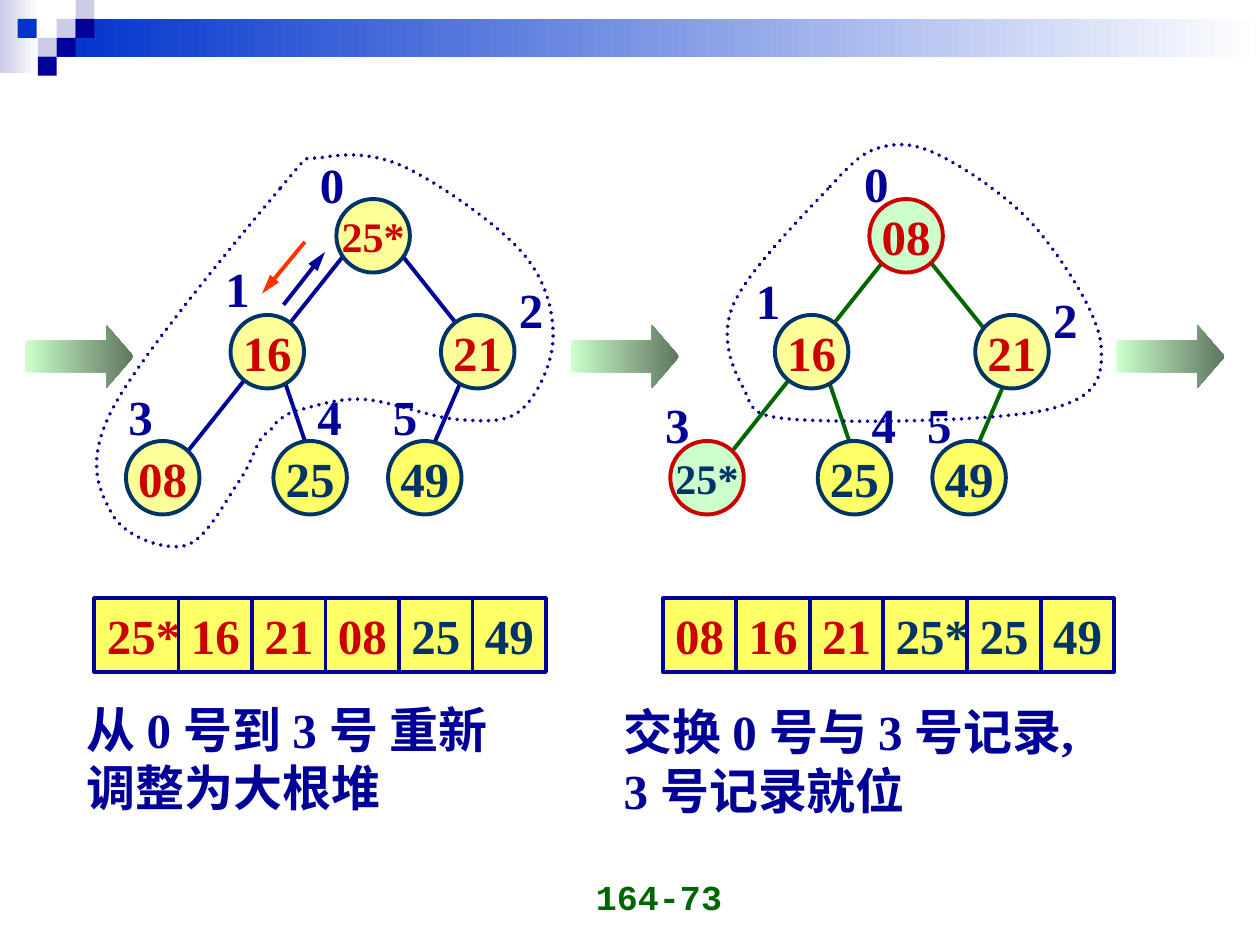
from lxml.etree import SubElement
from pptx import Presentation
from pptx.dml.color import RGBColor
from pptx.enum.dml import MSO_LINE
from pptx.enum.shapes import MSO_CONNECTOR, MSO_SHAPE
from pptx.enum.text import MSO_ANCHOR, PP_ALIGN
from pptx.oxml.ns import qn
from pptx.util import Inches, Pt

HEX = {"navy": "000099", "blue": "0033CC", "lilac": "CCCCE6", "white": "FFFFFF",
       "mint": "CCFFCC", "moss": "5E765E", "green": "006600", "red": "CC0000",
       "ink": "003366", "pale": "FFFF99", "yellow": "FFFF66", "orange": "FF3300"}
SERIF = "Times New Roman"
SIZE = 7 / 12   # node diameter, array height and cell width
WIDE = 8 / 12   # width of the starred cell
ROW = 4.75      # top of the arrays
BANDS = [(0, 0, 0.31, 0.58, "lilac"), (0.45, 0.15, 9.55, 0.3, "blue")]
TILES = [(0.45, 0.15, "lilac"), (0.6, 0, "lilac"), (0.6, 0.15, "navy"),
         (0.3, 0.3, "lilac"), (0.14, 0.15, "blue"), (0.45, 0.3, "navy"),
         (0.3, 0.45, "navy")]
ARROWS = [0.2, 4.53, 8.86]

# Node looks: fill, outline, text colour
HEAP = ("pale", "ink", "red")
DONE = ("yellow", "ink", "ink")
SWAP = ("mint", "red", "red")
SET = ("mint", "red", "ink")

TREES = [
    {"edge": "navy",
     "edges": [(3.67, 3, 3.42, 3.58), (2.25, 3, 2.42, 3.5),
               (3.17, 2, 3.83, 2.83), (2.75, 2, 1.42, 3.67)],
     "nodes": [("25*", 2.67, 1.58, HEAP), ("16", 1.83, 2.5, HEAP),
               ("21", 3.5, 2.5, HEAP), ("08", 1, 3.5, HEAP),
               ("25", 2.17, 3.5, DONE), ("49", 3.08, 3.5, DONE)],
     "labels": [(2.44, 1.18), (1.69, 2), (4.02, 2.17),
                (0.92, 3.02), (2.42, 3.02), (3.02, 3.02)],
     "moves": [(2.25, 2.42, 2.58, 2, "navy"), (2.42, 1.92, 2.08, 2.33, "orange")],
     "left": 0.75, "heap": 4,
     "cells": ["25*", "16", "21", "08", "25", "49"],
     "note": (0.59, 5.5, 4.07, ["从 0 号到 3 号 重新", "调整为大根堆"]),
     "knots": [(2.22, 1.5), (0.89, 3.25), (0.89, 4.08), (1.47, 4.33), (1.89, 3.83),
               (2.06, 3.5), (2.14, 3.42), (2.22, 3.33), (2.39, 3.25), (2.89, 3.17),
               (3.64, 3.33), (4.14, 3.25), (4.39, 2.67), (4.14, 2), (3.22, 1.33),
               (2.56, 1.25)]},
    {"edge": "green",
     "edges": [(7.99, 3, 7.74, 3.58), (7.32, 2, 7.99, 2.83),
               (6.57, 3, 6.74, 3.5), (7.07, 2, 5.74, 3.67)],
     "nodes": [("08", 6.9, 1.58, SWAP), ("16", 6.15, 2.5, HEAP),
               ("21", 7.74, 2.5, HEAP), ("25*", 5.32, 3.5, SET),
               ("25", 6.49, 3.5, DONE), ("49", 7.4, 3.5, DONE)],
     "labels": [(6.76, 1.17), (5.9, 2.1), (8.26, 2.25),
                (5.18, 3.08), (6.82, 3.08), (7.26, 3.08)],
     "moves": [],
     "left": 5.26, "heap": 3,
     "cells": ["08", "16", "21", "25*", "25", "49"],
     "note": (4.85, 5.52, 4.45, ["交换 0 号与 3 号记录,", "3 号记录就位"]),
     "knots": [(6.57, 1.5), (5.82, 2.42), (5.9, 3.08), (6.32, 3.33), (8.32, 3.25),
               (8.74, 2.75), (8.24, 1.83), (7.49, 1.25), (6.99, 1.17)]},
]

deck = Presentation()
deck.slide_width, deck.slide_height = Inches(10), Inches(7.5)
slide = deck.slides.add_slide(deck.slide_layouts[6])
shapes = slide.shapes


def rgb(name):
    return RGBColor.from_string(HEX[name])


def style(font, color, size=28, name=SERIF):
    font.name, font.size, font.bold = name, Pt(size), True
    font.color.rgb = rgb(color)


def block(kind, x, y, w, h, fill, line=None):
    """Add a preset shape; a pair of fill colours makes a gradient."""
    shape = shapes.add_shape(kind, *map(Inches, (x, y, w, h)))
    shape.shadow.inherit = False
    if isinstance(fill, tuple):
        shape.fill.gradient()
        shape.fill.gradient_angle = 0
        for stop, color in zip(shape.fill.gradient_stops, fill):
            stop.color.rgb = rgb(color)
    else:
        shape.fill.solid()
        shape.fill.fore_color.rgb = rgb(fill)
    if line:
        shape.line.color.rgb = rgb(line)
        shape.line.width = Pt(2.25)
    else:
        shape.line.fill.background()
    return shape


def stroke(x1, y1, x2, y2, color, head=False):
    line = shapes.add_connector(MSO_CONNECTOR.STRAIGHT, *map(Inches, (x1, y1, x2, y2)))
    line.line.color.rgb = rgb(color)
    line.line.width = Pt(2.25)
    if head:
        SubElement(line._element.spPr.find(qn("a:ln")), qn("a:tailEnd"),
                   type="triangle", w="med", len="lg")
    SubElement(line._element.spPr, qn("a:effectLst"))


def write(x, y, w, h, lines, color="navy", **look):
    frame = shapes.add_textbox(*map(Inches, (x, y, w, h))).text_frame
    frame.word_wrap = False
    frame.text = "\n".join(lines)
    for para in frame.paragraphs:
        style(para.font, color, **look)
    return frame


def node(text, x, y, look):
    fill, line, color = look
    frame = block(MSO_SHAPE.OVAL, x, y, SIZE, SIZE, fill, line).text_frame
    frame.word_wrap = False
    frame.text = text
    para = frame.paragraphs[0]
    para.alignment = PP_ALIGN.CENTER
    style(para.font, color, 24 if "*" in text else 28)


def array(left, cells, heap):
    """Draw the array as one box with dividers; a tab stop starts each cell."""
    widths = [WIDE if "*" in text else SIZE for text in cells]
    starts = [sum(widths[:i]) for i in range(1, len(cells))]
    box = block(MSO_SHAPE.RECTANGLE, left, ROW, sum(widths), SIZE, "yellow", "navy")
    box.text_frame.margin_right = 0
    para = box.text_frame.paragraphs[0]
    para.alignment = PP_ALIGN.LEFT
    tabs = SubElement(para._p.get_or_add_pPr(), qn("a:tabLst"))
    for x in starts:
        SubElement(tabs, qn("a:tab"), pos=str(Inches(x)), algn="l")
        stroke(left + x, ROW, left + x, ROW + SIZE, "navy")
    for text, color in (("\t".join(cells[:heap]) + "\t", "red"),
                        ("\t".join(cells[heap:]), "ink")):
        run = para.add_run()
        run.text = text
        style(run.font, color)


def loop(knots):
    """Draw a dotted closed Catmull-Rom curve through the knots."""
    count, points = len(knots), []
    for i in range(count):
        a, b, c, d = (knots[(i + k) % count] for k in (-1, 0, 1, 2))
        points += [[q + (r - p) / 6 for p, q, r in zip(a, b, c)],
                   [r - (s - q) / 6 for q, r, s in zip(b, c, d)], c]
    pen = shapes.build_freeform(*map(Inches, knots[0]))
    pen.add_line_segments([tuple(map(Inches, point)) for point in points], close=True)
    curve = pen.convert_to_shape()
    # Every three points of the outline are one cubic segment
    sides = list(curve._element.iter(qn("a:lnTo")))
    for i in range(0, len(sides), 3):
        first, second, last = sides[i:i + 3]
        first.tag = qn("a:cubicBezTo")
        for side in (second, last):
            first.append(side[0])
            side.getparent().remove(side)
    curve.shadow.inherit = False
    curve.fill.background()
    curve.line.color.rgb = rgb("navy")
    curve.line.width = Pt(2.25)
    curve.line.dash_style = MSO_LINE.ROUND_DOT
    curve._element.spPr.find(qn("a:ln")).set("cap", "rnd")


for x, y, w, h, color in BANDS:
    block(MSO_SHAPE.RECTANGLE, x, y, w, h, (color, "white"))
for x, y, color in TILES:
    block(MSO_SHAPE.RECTANGLE, x, y, 0.15, 0.15, color)
page = write(3.5, 6.83, 2.33, 0.5, ["164-73"], "green", size=20, name="Courier New")
page.word_wrap = True
page.vertical_anchor = MSO_ANCHOR.BOTTOM
page.paragraphs[0].alignment = PP_ALIGN.RIGHT
for x in ARROWS:
    arrow = block(MSO_SHAPE.RIGHT_ARROW, x, 2.58, 0.86, 0.5, ("mint", "moss"))
    arrow.adjustments[1] = 0.43

for tree in TREES:
    for edge in tree["edges"]:
        stroke(*edge, tree["edge"])
    for item in tree["nodes"]:
        node(*item)
    for i, (x, y) in enumerate(tree["labels"]):
        write(x, y, 0.39, 0.57, [str(i)])
    array(tree["left"], tree["cells"], tree["heap"])
    x, y, w, lines = tree["note"]
    write(x, y, w, 1.04, lines)
    for move in tree["moves"]:
        stroke(*move, head=True)
    loop(tree["knots"])

deck.save("out.pptx")
